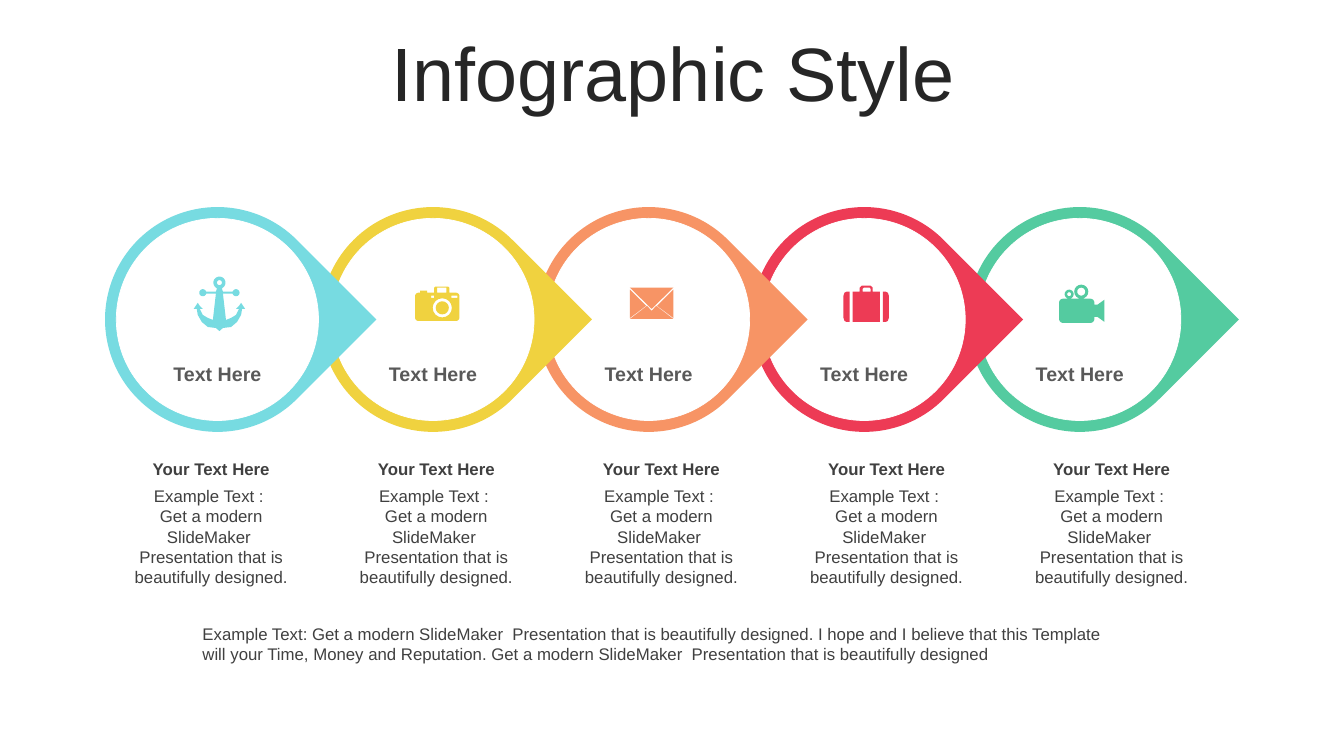
from dataclasses import dataclass
from math import cos, radians, sin

from pptx import Presentation
from pptx.dml.color import RGBColor
from pptx.enum.shapes import MSO_SHAPE
from pptx.enum.text import MSO_ANCHOR, MSO_AUTO_SIZE, PP_ALIGN
from pptx.util import Pt


@dataclass(frozen=True)
class Theme:
    """Colours and type sizes of the slide."""
    font: str = "Arial"
    white: str = "FFFFFF"
    title: str = "262626"
    label: str = "595959"
    body: str = "404040"
    steps: tuple = ("77DBE1", "F0D23F", "F79465", "ED3B55", "54CBA0")
    huge: int = 54
    mid: int = 14
    small: int = 12


THEME = Theme()
UNIT = 0.72
FINE = 100


def arc(x, y, r, start, end):
    """Return points along an arc, with angles in clockwise degrees."""
    turns = [radians(start + (end - start) * i / 16) for i in range(17)]
    return [(x + r * cos(a), y + r * sin(a)) for a in turns]


def disc(x, y, r):
    """Return the outline of a circle."""
    return arc(x, y, r, 0, 360)


def block(l, t, r, b):
    """Return the outline of a rectangle."""
    return [(l, t), (r, t), (r, b), (l, b)]


def panel(l, t, r, b, c):
    """Return a rounded rectangle that ends at its top left corner."""
    return (arc(r - c, t + c, c, -90, 0) + arc(r - c, b - c, c, 0, 90)
            + arc(l + c, b - c, c, 90, 180) + arc(l + c, t + c, c, 180, 270))


def flip(points, width):
    """Return the points mirrored across a box of the given width."""
    return [(width - x, y) for x, y in reversed(points)]


def anchor():
    """Return the outlines of the anchor."""
    half = arc(25.5, 6, 6, -90, 60) + [(28, 12), (29, 15), (39, 15)]
    half += arc(42, 16, 3.5, -160, 160)
    half += [(39, 17), (29, 17), (32, 43), (37, 41), (42, 38), (45, 32),
             (42, 32), (45, 29), (47, 26), (49, 29), (51, 32), (48, 32),
             (47, 38), (43, 45), (37, 50), (29, 51), (25.5, 54)]
    return [half + flip(half, 51), disc(25.5, 6, 2.5)]


def camera():
    """Return the outlines of the photo camera."""
    top = [(5, 6), (5, 4), (12, 4), (12, 6), (19, 6), (19, 1), (20, 0),
           (33, 0), (34, 1), (34, 6)]
    return [panel(0, 6, 44, 34, 3.5) + top, disc(27, 21, 9.5),
            disc(27, 21, 6.5), block(16, 9, 19, 11), block(36, 9, 42, 11),
            block(22, 1, 31, 6)]


def letter():
    """Return the outlines of the envelope."""
    side = [(0, 2), (16, 18), (0, 30)]
    return [[(26, 18), (43, 31), (0, 31), (17, 18), (21.5, 23)], side,
            flip(side, 43), [(0, 0), (43, 0), (21.5, 21)]]


def luggage():
    """Return the outlines of the suitcase."""
    side = [(3, 6), (6, 6), (6, 36), (3, 36), (1, 35), (0, 32), (0, 10),
            (1, 7)]
    core = [(18, 0), (27, 0), (29, 2), (29, 6), (36, 6), (36, 36), (9, 36),
            (9, 6), (16, 6), (16, 2)]
    grip = [(19, 3), (20, 2), (26, 2), (27, 3), (27, 6), (19, 6)]
    return [side, flip(side, 45), core, grip]


def movie():
    """Return the outlines of the film camera."""
    lens = [(35, 20), (38, 20), (45, 15), (45, 37), (38, 32), (35, 32)]
    return [panel(0, 14, 35, 38, 4), lens, disc(22, 7, 7), disc(22, 7, 4),
            disc(10, 9.5, 4.5), disc(10, 9.5, 2)]


ICONS = ((anchor, 63.4, 49.7), (camera, 67.5, 56.9), (letter, 67, 57.6),
         (luggage, 65.5, 56.2), (movie, 65.5, 55.4))


def paint(shape, color):
    """Fill a shape with a flat colour, without line or shadow."""
    shape.shadow.inherit = False
    shape.fill.solid()
    shape.fill.fore_color.rgb = RGBColor.from_string(color)
    shape.line.fill.background()


def write(frame, lines, size, color, bold=False, align=PP_ALIGN.CENTER):
    """Fill a text frame with one paragraph for each line."""
    frame.word_wrap = True
    frame.auto_size = MSO_AUTO_SIZE.NONE
    frame.text = "\n".join(lines)
    for para in frame.paragraphs:
        para.alignment = align
        para.font.name = THEME.font
        para.font.size = Pt(size)
        para.font.bold = bold
        para.font.color.rgb = RGBColor.from_string(color)


def add_text(slide, x, y, w, h, *style, **extra):
    """Add a text box with the given lines and style."""
    box = slide.shapes.add_textbox(Pt(x), Pt(y), Pt(w), Pt(h))
    write(box.text_frame, *style, **extra)


def add_icon(slide, x, y, paths, color):
    """Draw the outlines of an icon as one shape with holes."""
    fine = [[(px * FINE, py * FINE) for px, py in path] for path in paths]
    pen = slide.shapes.build_freeform(*fine[0][0], scale=Pt(UNIT) / FINE)
    for i, path in enumerate(fine):
        if i:
            pen.move_to(*path[0])
        pen.add_line_segments(path[1:], close=True)
    paint(pen.convert_to_shape(Pt(x), Pt(y)), color)


def add_title(slide, x, y, w, h):
    """Place and format the slide title."""
    title = slide.shapes.title
    title.left, title.top, title.width, title.height = map(Pt, (x, y, w, h))
    write(title.text_frame, ["Infographic Style"], THEME.huge, THEME.title)
    title.text_frame.vertical_anchor = MSO_ANCHOR.MIDDLE
    title.text_frame.paragraphs[0].line_spacing = 0.9


def add_step(slide, x, y, size, color, icon):
    """Draw a pointed ring with its icon and label."""
    rim = 8.1
    drop = slide.shapes.add_shape(
        MSO_SHAPE.TEAR, Pt(x), Pt(y), Pt(size), Pt(size))
    drop.rotation = 45
    paint(drop, color)
    inner = Pt(size - 2 * rim)
    core = slide.shapes.add_shape(
        MSO_SHAPE.OVAL, Pt(x + rim), Pt(y + rim), inner, inner)
    paint(core, THEME.white)
    core.line.color.rgb = RGBColor.from_string(THEME.white)
    core.line.width = Pt(0.5)
    draw, dx, dy = icon
    add_icon(slide, x + dx, y + dy, draw(), color)
    add_text(slide, x + 28.5, y + 107.3, size - 57, 24.5, ["Text Here"],
             THEME.mid, THEME.label, bold=True)


def add_note(slide, x, y, w):
    """Add a heading with its text below a step."""
    add_text(slide, x, y, w, 21.8, ["Your Text Here"],
             THEME.small, THEME.body, bold=True)
    lines = ["Example Text : ", "Get a modern SlideMaker  Presentation "
             "that is beautifully designed."]
    add_text(slide, x, y + 19.6, w, 80, lines, THEME.small, THEME.body)


def add_footer(slide, x, y, w, h):
    """Add the closing text."""
    text = ("Example Text: Get a modern SlideMaker  Presentation that is "
            "beautifully designed. I hope and I believe that this Template "
            "will your Time, Money and Reputation. Get a modern SlideMaker  "
            "Presentation that is beautifully designed")
    add_text(slide, x, y, w, h, [text], THEME.small, THEME.body,
             align=PP_ALIGN.LEFT)


def main():
    """Build and save the slide."""
    deck = Presentation()
    deck.slide_width, deck.slide_height = Pt(960), Pt(540)
    slide = deck.slides.add_slide(deck.slide_layouts[5])
    add_title(slide, 25.2, 26.6, 911.5, 56.9)
    steps = list(enumerate(zip(THEME.steps, ICONS)))
    for i, (color, icon) in reversed(steps):
        add_step(slide, 75 + 154 * i, 147.9, 160.6, color, icon)
    for i in range(len(steps)):
        add_note(slide, 82.9 + 160.8 * i, 324, 136)
    add_footer(slide, 137.5, 442.2, 673.2, 36)
    deck.save("out.pptx")


if __name__ == "__main__":
    main()
